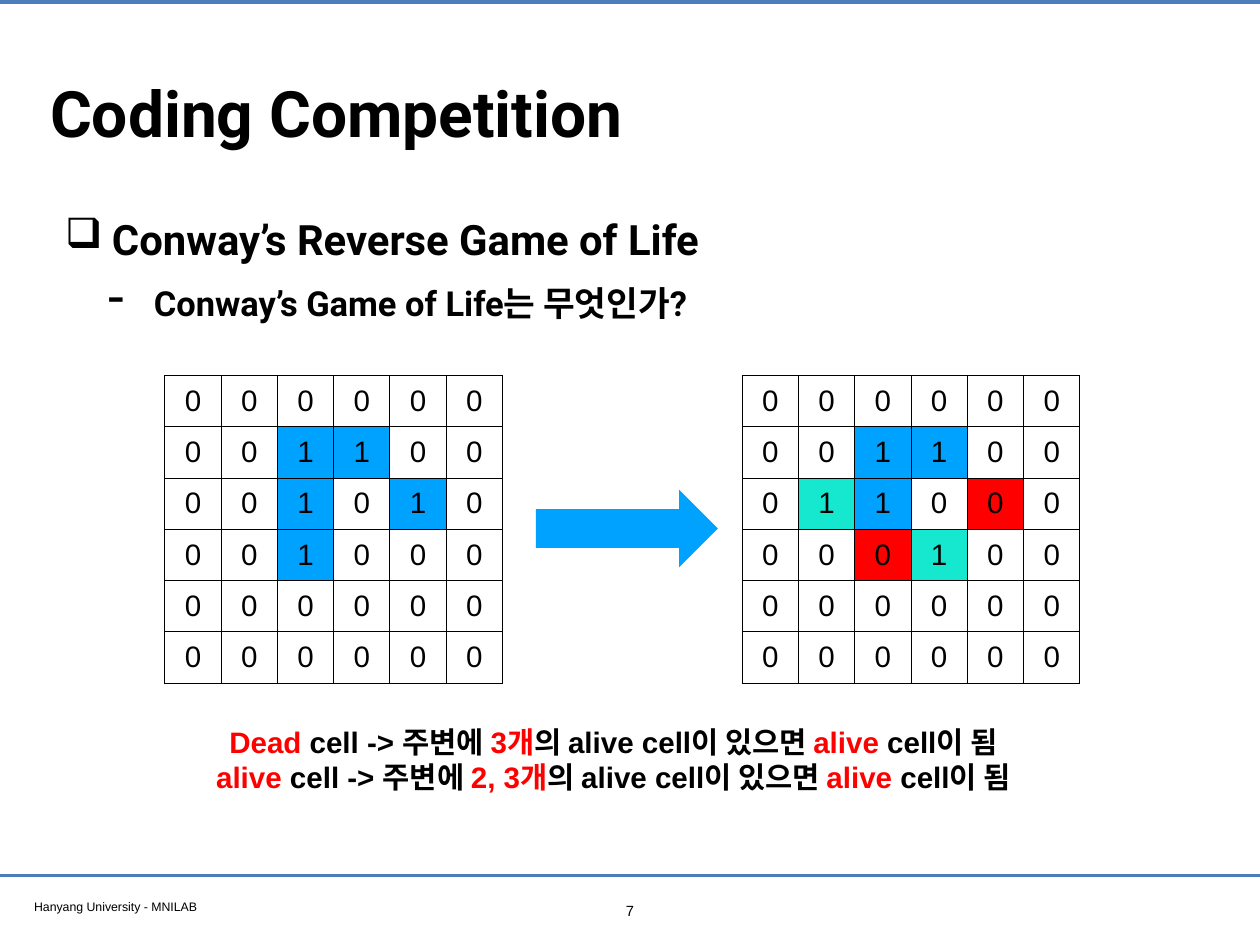
from dataclasses import dataclass

from lxml import etree
from pptx import Presentation
from pptx.dml.color import RGBColor
from pptx.enum.shapes import MSO_CONNECTOR, MSO_SHAPE
from pptx.enum.text import MSO_ANCHOR, MSO_AUTO_SIZE, PP_ALIGN
from pptx.oxml.ns import qn
from pptx.util import Pt

STRAIGHT = MSO_CONNECTOR.STRAIGHT
RIGHT_ARROW = MSO_SHAPE.RIGHT_ARROW
TOP, MIDDLE = MSO_ANCHOR.TOP, MSO_ANCHOR.MIDDLE
LEFT, CENTER = PP_ALIGN.LEFT, PP_ALIGN.CENTER
NO_AUTOFIT = MSO_AUTO_SIZE.NONE


@dataclass(frozen=True)
class Theme:
    """Colours, fonts and type sizes of the slide."""
    ink: str = "000000"
    paper: str = "FFFFFF"
    rule: str = "4A7EBB"
    alive: str = "00A2FF"
    born: str = "16E7CF"
    red: str = "FF0000"
    heading_font: str = "Roboto"
    text_font: str = "Arial"
    title: int = 52
    topic: int = 34
    question: int = 28
    cell: int = 24
    page: int = 12
    footer: int = 10


THEME = Theme()
CELL_STATES = {
    "0": ("0", THEME.paper),
    "1": ("1", THEME.alive),
    "b": ("1", THEME.born),
    "d": ("0", THEME.red),
}
BEFORE = ["000000", "001100", "001010", "001000", "000000", "000000"]
AFTER = ["000000", "001100", "0b10d0", "00db00", "000000", "000000"]
COLUMN_WIDTH, ROW_HEIGHT = 45.75, 41.65
RULES = [("Dead", "3개"), ("alive", "2, 3개")]


def style_run(run, size, font=THEME.text_font, bold=False, color=THEME.ink):
    """Set the type of one run."""
    run.font.size = Pt(size)
    run.font.name = font
    run.font.bold = bold
    run.font.color.rgb = RGBColor.from_string(color)


def prepare_frame(frame, anchor=TOP, wrap=True):
    """Set the insets, anchor and wrapping of a text frame."""
    frame.auto_size = NO_AUTOFIT
    frame.word_wrap = wrap
    frame.vertical_anchor = anchor
    frame.margin_left = frame.margin_right = Pt(4)
    frame.margin_top = frame.margin_bottom = Pt(4)


def add_text_frame(slide, left, top, width, height, anchor=TOP, wrap=True):
    """Add a text box and return its frame."""
    frame = slide.shapes.add_textbox(Pt(left), Pt(top), Pt(width), Pt(height)).text_frame
    prepare_frame(frame, anchor, wrap)
    return frame


def add_rule(slide, y, weight):
    """Draw a line across the slide."""
    rule = slide.shapes.add_connector(STRAIGHT, Pt(0), Pt(y), Pt(1024), Pt(y))
    rule.line.color.rgb = RGBColor.from_string(THEME.rule)
    rule.line.width = Pt(weight)
    etree.SubElement(rule._element.spPr, qn("a:effectLst"))


def add_title(slide, text):
    """Place and format the title."""
    title = slide.shapes.title
    title.left, title.top, title.width, title.height = Pt(36.7), Pt(20), Pt(951), Pt(142)
    prepare_frame(title.text_frame, MIDDLE)
    title.text_frame.text = text
    paragraph = title.text_frame.paragraphs[0]
    paragraph.alignment = LEFT
    style_run(paragraph.runs[0], THEME.title, THEME.heading_font, True)


def add_label(slide, box, text, size, alignment):
    """Add a one-line label."""
    frame = add_text_frame(slide, *box)
    frame.text = text
    frame.paragraphs[0].alignment = alignment
    style_run(frame.paragraphs[0].runs[0], size)


def format_bullet(paragraph, sign, percent, indent, hanging):
    """Give a paragraph a bullet with a hanging indent."""
    properties = paragraph._p.get_or_add_pPr()
    properties.set("marL", str(Pt(indent)))
    properties.set("indent", str(Pt(-hanging)))
    etree.SubElement(properties, qn("a:buSzPct"), val=str(percent * 1000))
    etree.SubElement(properties, qn("a:buChar"), char=sign)


def add_outline(slide):
    """Add the topic and the question under it."""
    frame = add_text_frame(slide, 49, 161.5, 829, 127)
    frame.text = "Conway’s Reverse Game of Life\nConway’s Game of Life는 무엇인가?"
    topic, question = frame.paragraphs
    format_bullet(topic, "❑", 100, 38, 38)
    format_bullet(question, "-", 145, 72, 37.5)
    question.level = 1
    question.space_before = Pt(8)
    for paragraph, size in ((topic, THEME.topic), (question, THEME.question)):
        paragraph.line_spacing = 1.2
        style_run(paragraph.runs[0], size, THEME.heading_font, True)


def add_borders(cell):
    """Draw a thin line on each side of a cell."""
    properties = cell._tc.get_or_add_tcPr()
    for index, side in enumerate(("lnL", "lnR", "lnT", "lnB")):
        line = etree.Element(qn(f"a:{side}"), w=str(Pt(1)))
        fill = etree.SubElement(line, qn("a:solidFill"))
        etree.SubElement(fill, qn("a:srgbClr"), val=THEME.ink)
        properties.insert(index, line)


def add_board(slide, left, top, states):
    """Add a game board as a table."""
    row_count, column_count = len(states), len(states[0])
    board = slide.shapes.add_table(
        row_count, column_count, Pt(left), Pt(top),
        Pt(COLUMN_WIDTH * column_count), Pt(ROW_HEIGHT * row_count)).table
    board.first_row = board.horz_banding = False
    for column in board.columns:
        column.width = Pt(COLUMN_WIDTH)
    for row, row_states in zip(board.rows, states):
        row.height = Pt(ROW_HEIGHT)
        for cell, state in zip(row.cells, row_states):
            digit, color = CELL_STATES[state]
            cell.text = digit
            cell.vertical_anchor = MIDDLE
            cell.fill.solid()
            cell.fill.fore_color.rgb = RGBColor.from_string(color)
            paragraph = cell.text_frame.paragraphs[0]
            paragraph.alignment = CENTER
            style_run(paragraph.runs[0], THEME.cell)
            add_borders(cell)


def add_step_arrow(slide):
    """Add the arrow from one generation to the next."""
    arrow = slide.shapes.add_shape(RIGHT_ARROW, Pt(435.5), Pt(398), Pt(148), Pt(63))
    arrow.shadow.inherit = False
    arrow.fill.solid()
    arrow.fill.fore_color.rgb = RGBColor.from_string(THEME.alive)
    arrow.line.fill.background()


def add_life_rules(slide):
    """Add the rules with their key words in red."""
    frame = add_text_frame(slide, 144, 584, 709, 66, MIDDLE, False)
    for index, (start, neighbours) in enumerate(RULES):
        paragraph = frame.add_paragraph() if index else frame.paragraphs[0]
        paragraph.alignment = CENTER
        phrases = (start, " cell -> 주변에 ", neighbours,
                   "의 alive cell이 있으면 ", "alive", " cell이 됨")
        for position, phrase in enumerate(phrases):
            run = paragraph.add_run()
            run.text = phrase
            color = THEME.ink if position % 2 else THEME.red
            style_run(run, THEME.cell, bold=True, color=color)


def main():
    """Build the slide and save it."""
    deck = Presentation()
    deck.slide_width, deck.slide_height = Pt(1024), Pt(768)
    slide = deck.slides.add_slide(deck.slide_layouts[5])
    add_rule(slide, 1.5, 3.2)
    add_rule(slide, 711.5, 2)
    add_label(slide, (23.75, 726.5, 393, 19), "Hanyang University - MNILAB", THEME.footer, LEFT)
    add_title(slide, "Coding Competition")
    add_outline(slide)
    add_label(slide, (498, 728.5, 28, 22), "7", THEME.page, CENTER)
    add_board(slide, 134, 305.25, BEFORE)
    add_board(slide, 603.25, 305.25, AFTER)
    add_step_arrow(slide)
    add_life_rules(slide)
    deck.save("out.pptx")


if __name__ == "__main__":
    main()
